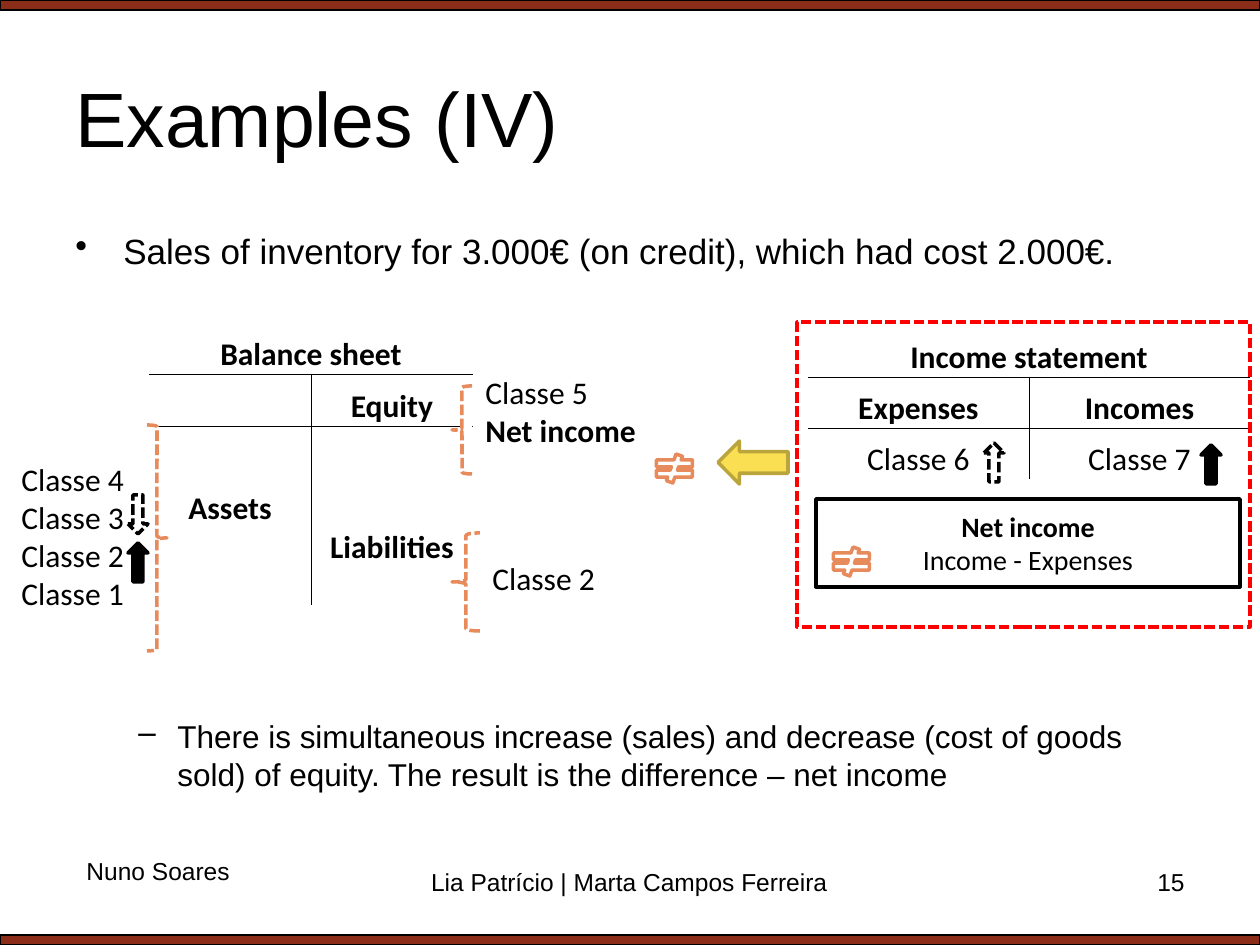
from dataclasses import dataclass

from lxml import etree
from pptx import Presentation
from pptx import util as u
from pptx.dml.color import RGBColor
from pptx.enum import dml, shapes, text
from pptx.oxml.ns import qn

PX = 914400 / 126
KIND = shapes.MSO_SHAPE
ALIGN = text.PP_ALIGN
ANCHOR = text.MSO_ANCHOR


@dataclass(frozen=True)
class Theme:
    black: str = "000000"
    white: str = "FFFFFF"
    band: str = "8C2D19"
    orange: str = "E78A5C"
    red: str = "FF0000"
    yellow: str = "FBDF53"
    olive: str = "BAA53D"
    heading: str = "Arial"
    diagram: str = "Calibri"
    title: int = 44
    body: int = 20
    label: int = 18
    result: int = 16
    footer: int = 14


theme = Theme()


def write(frame, lines, size, font=theme.diagram, align=ALIGN.LEFT, bullet=None):
    """Fill a text frame with (wording, bold) lines; bullet is (sign, indent px)."""
    for index, (wording, bold) in enumerate(lines):
        para = frame.paragraphs[0] if index == 0 else frame.add_paragraph()
        para.alignment = align
        if bullet:
            sign, indent = bullet
            props = para._p.get_or_add_pPr()
            props.set("marL", str(round(indent * PX)))
            props.set("indent", str(round(-indent * PX)))
            etree.SubElement(props, qn("a:buChar")).set("char", sign)
        span = para.add_run()
        span.text = wording
        span.font.name = font
        span.font.size = u.Pt(size)
        span.font.bold = bold
        span.font.color.rgb = RGBColor.from_string(theme.black)


def draw(kind, frame, fill, line, width=2, dashed=False):
    """Add a preset shape; a fill of None leaves it hollow."""
    shape = page.shapes.add_shape(kind, *[round(n * PX) for n in frame])
    shape.shadow.inherit = False
    if fill:
        shape.fill.solid()
        shape.fill.fore_color.rgb = RGBColor.from_string(fill)
    else:
        shape.fill.background()
    shape.line.color.rgb = RGBColor.from_string(line)
    shape.line.width = u.Pt(width)
    if dashed:
        shape.line.dash_style = dml.MSO_LINE.SQUARE_DOT
    return shape


deck = Presentation()
deck.slide_width, deck.slide_height = u.Inches(10), u.Inches(7.5)
page = deck.slides.add_slide(deck.slide_layouts[6])

for top in (0, 935):
    draw(KIND.RECTANGLE, (0, top, 1260, 10), theme.band, theme.black, 0.75)

# Tables: frame, row heights, cells as (row, column, wording, bold, anchor)
tables = [
    ((149, 322, 324, 283), (52, 52, 51, 51, 77), [
        (0, 0, "Balance sheet", True, ANCHOR.BOTTOM),
        (1, 1, "Equity", True, ANCHOR.BOTTOM),
        (3, 0, "Assets", True, ANCHOR.BOTTOM),
        (4, 1, "Liabilities", True, ANCHOR.TOP),
    ]),
    ((808, 326, 442, 153), (51, 51, 51), [
        (0, 0, "Income statement", True, ANCHOR.BOTTOM),
        (1, 0, "Expenses", True, ANCHOR.BOTTOM),
        (1, 1, "Incomes", True, ANCHOR.BOTTOM),
        (2, 0, "Classe 6", False, ANCHOR.BOTTOM),
        (2, 1, "Classe 7", False, ANCHOR.BOTTOM),
    ]),
]
for frame, heights, entries in tables:
    holder = page.shapes.add_table(len(heights), 2, *[round(n * PX) for n in frame])
    table = holder.table
    table.first_row = table.horz_banding = False
    # Built-in "No Style, No Grid"
    table._tbl.tblPr.find(qn("a:tableStyleId")).text = "{2D5ABB26-0587-4C30-8999-92F81FD0307C}"
    for row, height in zip(table.rows, heights):
        row.height = round(height * PX)
    table.cell(0, 0).merge(table.cell(0, 1))
    for row, column, wording, bold, anchor in entries:
        cell = table.cell(row, column)
        cell.vertical_anchor = anchor
        write(cell.text_frame, [(wording, bold)], theme.label, align=ALIGN.CENTER)
    for row in range(len(heights)):
        for column in range(2):
            cell = table.cell(row, column)
            cell.margin_left = cell.margin_right = cell.margin_top = round(PX)
            cell.margin_bottom = 0
            if row == 0:
                sides = ["a:lnB"]
            else:
                sides = ["a:lnL" if column else "a:lnR"]
                if row == 1:
                    sides.append("a:lnT")
            props = cell._tc.get_or_add_tcPr()
            for side in sides:
                border = etree.SubElement(props, qn(side), w=str(u.Pt(0.5)))
                paint = etree.SubElement(border, qn("a:solidFill"))
                etree.SubElement(paint, qn("a:srgbClr"), val=theme.black)
            cell.fill.background()

# Braces that tie the account classes to the balance sheet
for kind, frame in [
    (KIND.RIGHT_BRACE, (147, 425, 20, 226)),
    (KIND.LEFT_BRACE, (452, 533, 28, 98)),
    (KIND.LEFT_BRACE, (452, 386, 20, 88)),
]:
    draw(kind, frame, theme.white, theme.orange, dashed=True)

result = draw(KIND.RECTANGLE, (816, 499, 424, 88), None, theme.black)
result.text_frame.vertical_anchor = ANCHOR.MIDDLE
write(result.text_frame, [("Net income", True), ("Income - Expenses", False)],
      theme.result, align=ALIGN.CENTER)
draw(KIND.RECTANGLE, (797, 322, 453, 305), None, theme.red, dashed=True)
draw(KIND.LEFT_ARROW, (718, 441, 70, 43), theme.yellow, theme.olive)

# Solid arrows mark increases from the sale, dashed ones its cost
for kind, left, top, solid in [
    (KIND.DOWN_ARROW, 128, 495, False),
    (KIND.UP_ARROW, 1201, 445, True),
    (KIND.UP_ARROW, 984, 443, False),
    (KIND.UP_ARROW, 128, 543, True),
]:
    draw(kind, (left, top, 20, 39), theme.black if solid else None,
         theme.black, dashed=not solid)
for left, top in ((827, 547), (650, 454)):
    draw(KIND.MATH_NOT_EQUAL, (left, top, 49, 29), theme.white, theme.orange)

# Text boxes: frame, lines, size, font, alignment, bullet, wrap
note = ("There is simultaneous increase (sales) and decrease (cost of goods sold) "
        "of equity. The result is the difference – net income")
classes = [(f"Classe {number}", False) for number in (4, 3, 2, 1)]
sans, calibri = theme.heading, theme.diagram
boxes = [
    ((63, 38, 1134, 157), [("Examples (IV)", False)], theme.title, sans, ALIGN.LEFT, None, True),
    ((63, 223, 1134, 52),
     [("Sales of inventory for 3.000€ (on credit), which had cost 2.000€.", False)],
     theme.body, sans, ALIGN.LEFT, ("•", 48), True),
    ((126, 711, 1071, 90), [(note, False)], theme.label, sans, ALIGN.LEFT, ("–", 39), True),
    ((9, 454, 129, 165), classes, theme.label, calibri, ALIGN.LEFT, None, False),
    ((480, 553, 129, 51), [("Classe 2", False)], theme.label, calibri, ALIGN.LEFT, None, False),
    ((473, 367, 178, 89), [("Classe 5", False), ("Net income", True)],
     theme.label, calibri, ALIGN.LEFT, None, False),
    ((74, 850, 170, 43), [("Nuno Soares", False)], theme.footer, sans, ALIGN.LEFT, None, False),
    ((411, 861, 437, 65), [("Lia Patrício | Marta Campos Ferreira", False)],
     theme.footer, sans, ALIGN.CENTER, None, True),
    ((903, 861, 294, 65), [("15", False)], theme.footer, sans, ALIGN.RIGHT, None, True),
]
for frame, lines, size, font, align, bullet, wrap in boxes:
    box = page.shapes.add_textbox(*[round(n * PX) for n in frame])
    box.text_frame.word_wrap = wrap
    if size == theme.title:
        box.text_frame.vertical_anchor = ANCHOR.MIDDLE
    write(box.text_frame, lines, size, font, align, bullet)

deck.save("out.pptx")
